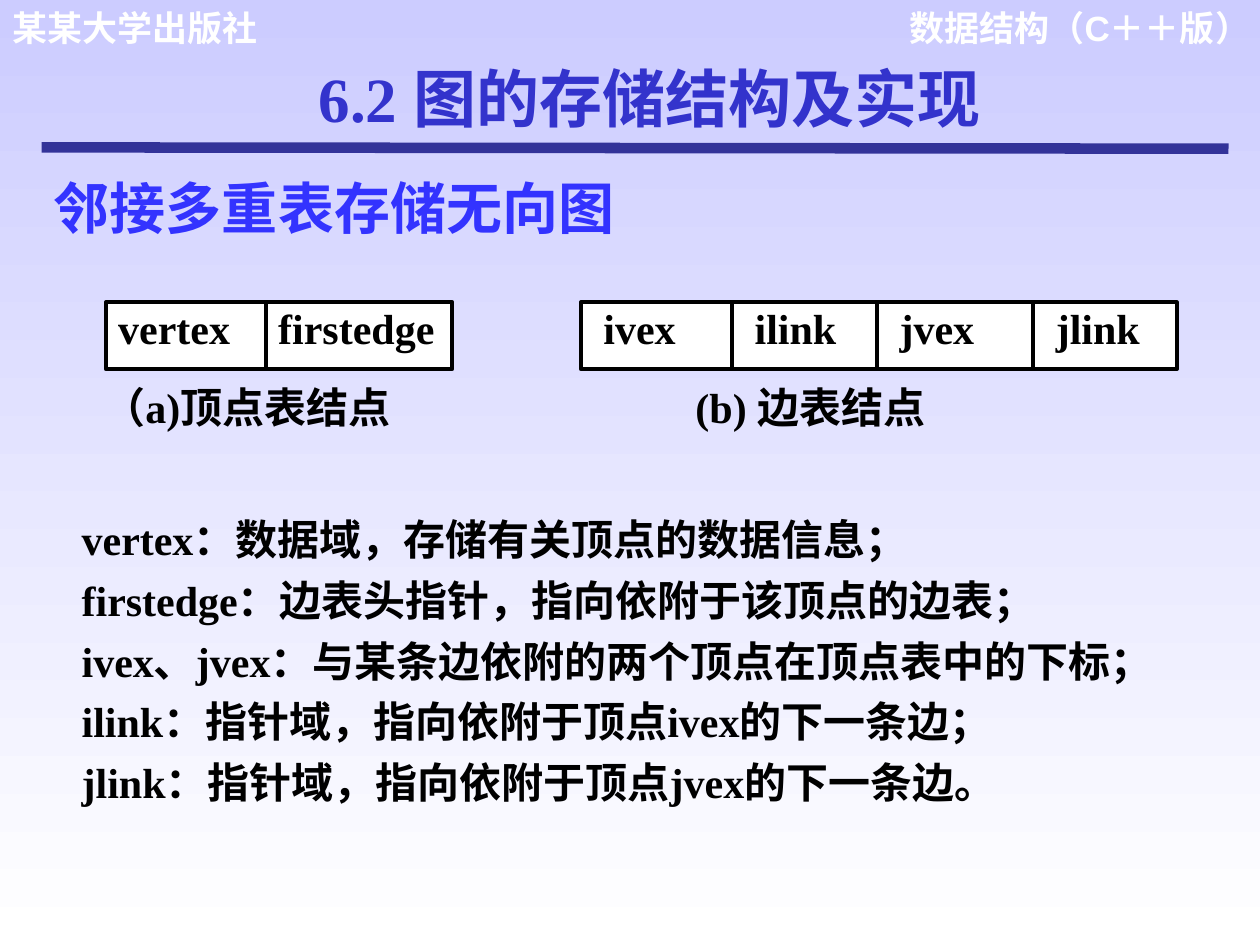
from lxml import etree
from pptx import Presentation
from pptx.dml.color import RGBColor
from pptx.enum.shapes import MSO_CONNECTOR, MSO_SHAPE
from pptx.enum.text import MSO_ANCHOR, PP_ALIGN
from pptx.oxml.ns import qn
from pptx.util import Inches, Pt

LEFT, RIGHT = PP_ALIGN.LEFT, PP_ALIGN.RIGHT
TOP, MIDDLE = MSO_ANCHOR.TOP, MSO_ANCHOR.MIDDLE
STRAIGHT = MSO_CONNECTOR.STRAIGHT
RECTANGLE = MSO_SHAPE.RECTANGLE

WHITE = RGBColor(0xFF, 0xFF, 0xFF)
BLACK = RGBColor(0, 0, 0)
LAVENDER = RGBColor(0xCC, 0xCC, 0xFF)
RULE_BLUE = RGBColor(0x33, 0x33, 0x99)
TITLE_BLUE = RGBColor(0x33, 0x33, 0xCC)
HEADING_BLUE = RGBColor(0x33, 0x33, 0xFF)

SERIF, SANS = "Times New Roman", "Arial"

VERTEX_FIELDS = [("vertex", 1.27, 0.1), ("firstedge", 1.48, 0.1)]
EDGE_FIELDS = [("ivex", 1.2, 0.18), ("ilink", 1.15, 0.18),
               ("jvex", 1.24, 0.18), ("jlink", 1.14, 0.18)]
FIELD_NOTES = [
    "vertex：数据域，存储有关顶点的数据信息；",
    "firstedge：边表头指针，指向依附于该顶点的边表；",
    "ivex、jvex：与某条边依附的两个顶点在顶点表中的下标；",
    "ilink：指针域，指向依附于顶点ivex的下一条边；",
    "jlink：指针域，指向依附于顶点jvex的下一条边。",
]


def style_run(run, size, color, font=SERIF):
    run.font.size = Pt(size)
    run.font.name = font
    run.font.bold = True
    run.font.color.rgb = color


def add_text_shadow(run):
    effects = etree.Element(qn("a:effectLst"))
    shadow = etree.SubElement(effects, qn("a:outerShdw"),
                              dist="35921", dir="2700000", algn="ctr")
    etree.SubElement(shadow, qn("a:srgbClr"), val="808080")
    run.font.fill._xPr.find(qn("a:solidFill")).addnext(effects)


def add_text(slide, box, lines, size, color, font=SERIF, align=LEFT,
             anchor=TOP, gap=0, shadow=False):
    frame = slide.shapes.add_textbox(*map(Inches, box)).text_frame
    frame.word_wrap = True
    frame.vertical_anchor = anchor
    frame.text = "\n".join(lines)
    for index, paragraph in enumerate(frame.paragraphs):
        paragraph.alignment = align
        if index and gap:
            paragraph.space_before = Pt(gap)
        for run in paragraph.runs:
            style_run(run, size, color, font)
            if shadow:
                add_text_shadow(run)
    return frame


def paint_background(slide):
    fill = slide.background.fill
    fill.gradient()
    fill.gradient_angle = 270
    for stop, color, position in zip(fill.gradient_stops, (LAVENDER, WHITE), (0, 1)):
        stop.color.rgb = color
        stop.position = position


def add_header(slide):
    add_text(slide, (7, 0, 3.02, 0.77), ["数据结构（C＋＋版）"], 20, WHITE, SANS, RIGHT)
    add_text(slide, (0, 0, 2.71, 0.44), ["某某大学出版社"], 20, WHITE, SANS)
    rule = slide.shapes.add_connector(
        STRAIGHT, Inches(0.33), Inches(1.17), Inches(9.75), Inches(1.18))
    rule.line.color.rgb = RULE_BLUE
    rule.line.width = Pt(6)
    etree.SubElement(rule._element.spPr, qn("a:effectLst"))


def add_node(slide, left, top, height, fields):
    """Draw adjoining cells; each field is (name, width, left inset)."""
    for name, width, inset in fields:
        cell = slide.shapes.add_shape(
            RECTANGLE, Inches(left), Inches(top), Inches(width), Inches(height))
        cell.shadow.inherit = False
        cell.fill.solid()
        cell.fill.fore_color.rgb = WHITE
        cell.line.color.rgb = BLACK
        cell.line.width = Pt(2.25)
        frame = cell.text_frame
        frame.margin_left = Inches(inset)
        frame.margin_top = 0
        frame.margin_bottom = Inches(0.01)
        frame.vertical_anchor = TOP
        frame.text = name
        frame.paragraphs[0].alignment = LEFT
        style_run(frame.paragraphs[0].runs[0], 24, BLACK)
        left += width


def add_caption(slide, left, top, caption):
    frame = add_text(slide, (left, top, 3, 0.51), [caption], 24, BLACK)
    frame.margin_left = frame.margin_right = Inches(0.02)
    frame.margin_top = frame.margin_bottom = 0


def main():
    prs = Presentation()
    prs.slide_width, prs.slide_height = Inches(10), Inches(7.5)
    slide = prs.slides.add_slide(prs.slide_layouts[6])
    paint_background(slide)
    add_header(slide)
    add_text(slide, (2.43, 0.42, 5.8, 0.7), ["6.2 图的存储结构及实现"], 36,
             TITLE_BLUE, shadow=True)
    add_text(slide, (0.33, 1.33, 4.88, 0.64), ["邻接多重表存储无向图"], 32,
             HEADING_BLUE, shadow=True)
    add_node(slide, 0.84, 2.4, 0.53, VERTEX_FIELDS)
    add_node(slide, 4.61, 2.4, 0.53, EDGE_FIELDS)
    add_caption(slide, 0.8, 3.03, "（a)顶点表结点")
    add_caption(slide, 5.5, 3.03, "(b) 边表结点")
    add_text(slide, (0.55, 4.02, 8.94, 2.44), FIELD_NOTES, 24, BLACK,
             anchor=MIDDLE, gap=6)
    prs.save("out.pptx")


if __name__ == "__main__":
    main()
